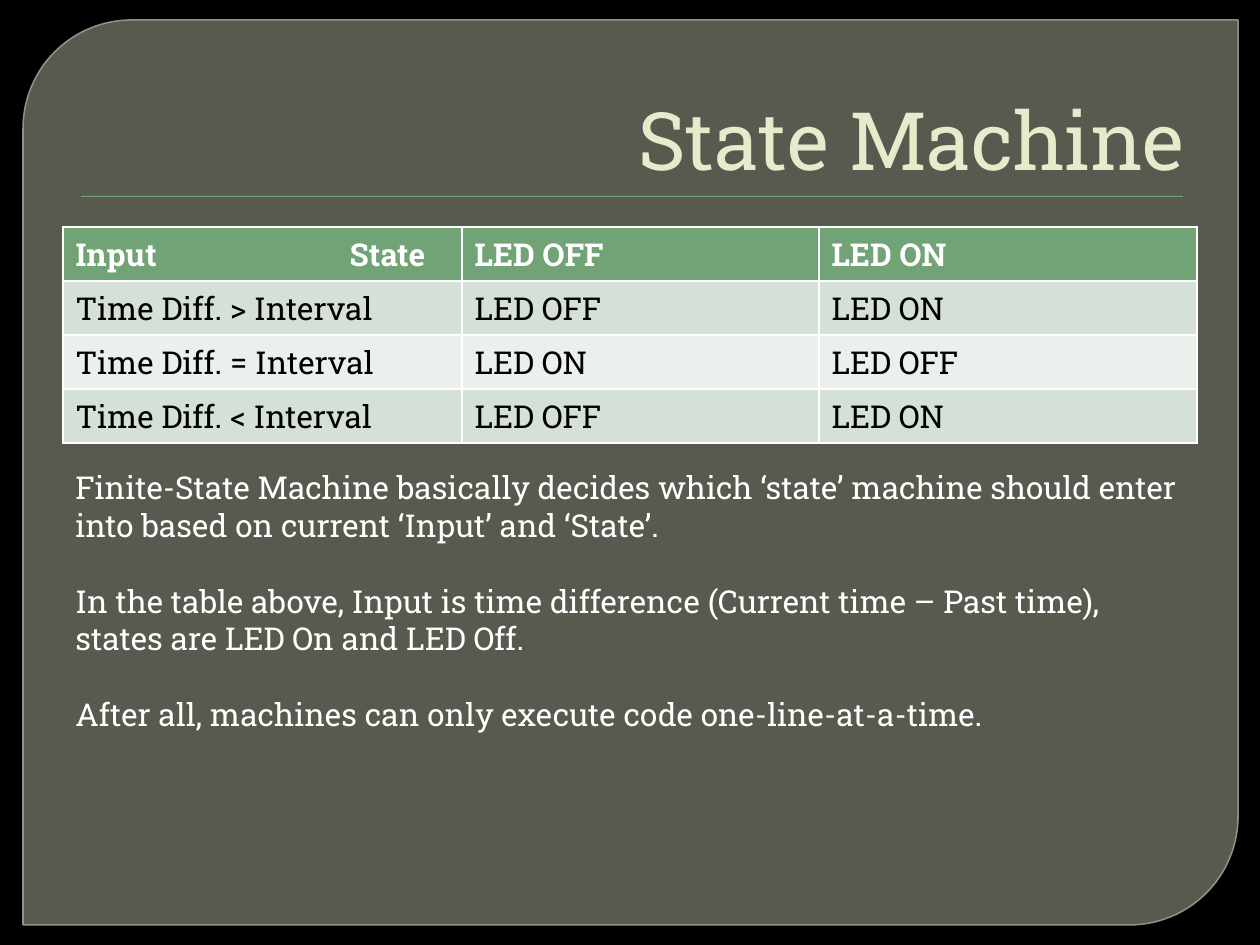
from dataclasses import dataclass

from lxml import etree
from pptx import Presentation
from pptx.dml.color import RGBColor
from pptx.enum import shapes, text
from pptx.oxml.ns import qn
from pptx.util import Emu, Pt

EMU_PER_PX = 914400 / 126
FONT = "Roboto Slab"
WHITE, BLACK, GREEN = "FFFFFF", "000000", "72A376"


@dataclass(frozen=True)
class Box:
    x: int
    y: int
    w: int
    h: int

    def emu(self) -> tuple:
        return tuple(px(v) for v in (self.x, self.y, self.w, self.h))


@dataclass(frozen=True)
class Row:
    cells: tuple
    fill: str
    color: str = BLACK
    bold: bool = False


@dataclass(frozen=True)
class TextBlock:
    box: Box
    paragraphs: tuple
    size: int
    color: str
    anchor: text.MSO_ANCHOR = text.MSO_ANCHOR.TOP
    align: text.PP_ALIGN = text.PP_ALIGN.LEFT
    gap: float = 0


def px(value: int) -> Emu:
    return Emu(round(value * EMU_PER_PX))


def rgb(value: str) -> RGBColor:
    return RGBColor.from_string(value)


def paint(fill, color: str, alpha: int = 100) -> None:
    fill.solid()
    fill.fore_color.rgb = rgb(color)
    if alpha < 100:
        clr = fill._xPr.find(".//" + qn("a:srgbClr"))
        etree.SubElement(clr, qn("a:alpha"), val=str(alpha * 1000))


def write(p, words: str, size: int, color: str, bold: bool = False) -> None:
    r = p.add_run()
    r.text = words
    for name, value in {"name": FONT, "size": Pt(size), "bold": bold}.items():
        setattr(r.font, name, value)
    r.font.color.rgb = rgb(color)


def add_panel(s, kind, box: Box, color: str, alpha: int = 100):
    sp = s.shapes.add_shape(kind, *box.emu())
    sp.shadow.inherit = False
    paint(sp.fill, color, alpha)
    sp.line.fill.background()
    return sp


def add_text(s, block: TextBlock) -> None:
    tf = s.shapes.add_textbox(*block.box.emu()).text_frame
    for name, value in {"word_wrap": True, "vertical_anchor": block.anchor}.items():
        setattr(tf, name, value)
    for i, words in enumerate(block.paragraphs):
        p = tf.add_paragraph() if i else tf.paragraphs[0]
        p.alignment = block.align
        p.space_before = Pt(block.gap if i else 0)
        write(p, words, block.size, block.color)


def add_borders(cell, color: str, width: int) -> None:
    tc_pr = cell._tc.get_or_add_tcPr()
    for i, side in enumerate(("lnL", "lnR", "lnT", "lnB")):
        ln = etree.Element(qn("a:" + side), w=str(Pt(width)))
        fill = etree.SubElement(ln, qn("a:solidFill"))
        etree.SubElement(fill, qn("a:srgbClr"), val=color)
        tc_pr.insert(i, ln)


def add_tab_stop(p, position: int) -> None:
    tabs = etree.SubElement(p._p.get_or_add_pPr(), qn("a:tabLst"))
    etree.SubElement(tabs, qn("a:tab"), pos=str(px(position)), algn="l")


def add_state_table(s, box: Box, widths: tuple, rows: tuple) -> None:
    table = s.shapes.add_table(len(rows), len(widths), *box.emu()).table
    for column, width in zip(table.columns, widths):
        column.width = px(width)
    for i, row in enumerate(rows):
        table.rows[i].height = px(box.h // len(rows))
        for j, words in enumerate(row.cells):
            cell = table.cell(i, j)
            paint(cell.fill, row.fill)
            add_borders(cell, WHITE, 1)
            p = cell.text_frame.paragraphs[0]
            if "\t" in words:
                add_tab_stop(p, 274)
            write(p, words, 18, row.color, row.bold)


TITLE = TextBlock(Box(63, 35, 1134, 158), ("State Machine",), 46, "E7EACB",
                  text.MSO_ANCHOR.BOTTOM, text.PP_ALIGN.RIGHT)
ROWS = (
    Row(("Input\tState", "LED OFF", "LED ON"), GREEN, WHITE, True),
    Row(("Time Diff. > Interval", "LED OFF", "LED ON"), "D5E0D6"),
    Row(("Time Diff. = Interval", "LED ON", "LED OFF"), "EBF0EC"),
    Row(("Time Diff. < Interval", "LED OFF", "LED ON"), "D5E0D6"),
)
NOTES = TextBlock(Box(63, 462, 1134, 280), (
    "Finite-State Machine basically decides which ‘state’ machine should enter "
    "into based on current ‘Input’ and ‘State’.",
    "In the table above, Input is time difference (Current time – Past time), "
    "states are LED On and LED Off.",
    "After all, machines can only execute code one-line-at-a-time.",
), 18, WHITE, gap=21.6)


def main() -> None:
    prs = Presentation()
    prs.slide_width, prs.slide_height = px(1260), px(945)
    s = prs.slides.add_slide(prs.slide_layouts[6])

    # Background and framed panel
    paint(s.background.fill, BLACK)
    kind = shapes.MSO_SHAPE
    panel = add_panel(s, kind.ROUND_2_DIAG_RECTANGLE, Box(23, 20, 1215, 905), "888B7B", 65)
    panel.adjustments[0], panel.adjustments[1] = 0.12, 0
    paint(panel.line.fill, "9DA090", 88)
    panel.line.width = Pt(0.87)

    # Title with its rule
    add_panel(s, kind.RECTANGLE, Box(81, 196, 1102, 1), GREEN)
    add_text(s, TITLE)

    # State table and explanation
    add_state_table(s, Box(63, 227, 1134, 216), (399, 357, 378), ROWS)
    add_text(s, NOTES)

    prs.save("out.pptx")


if __name__ == "__main__":
    main()
